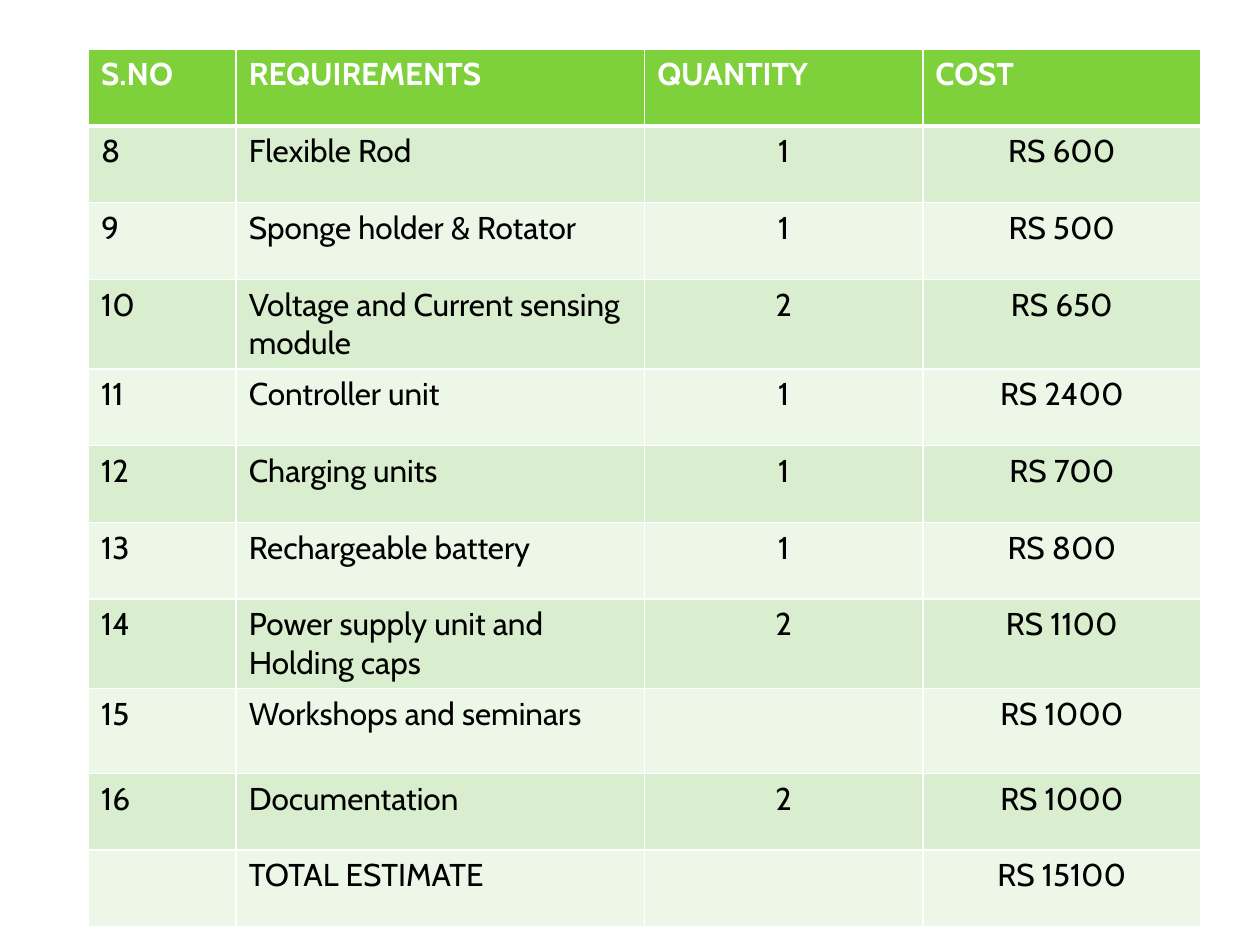
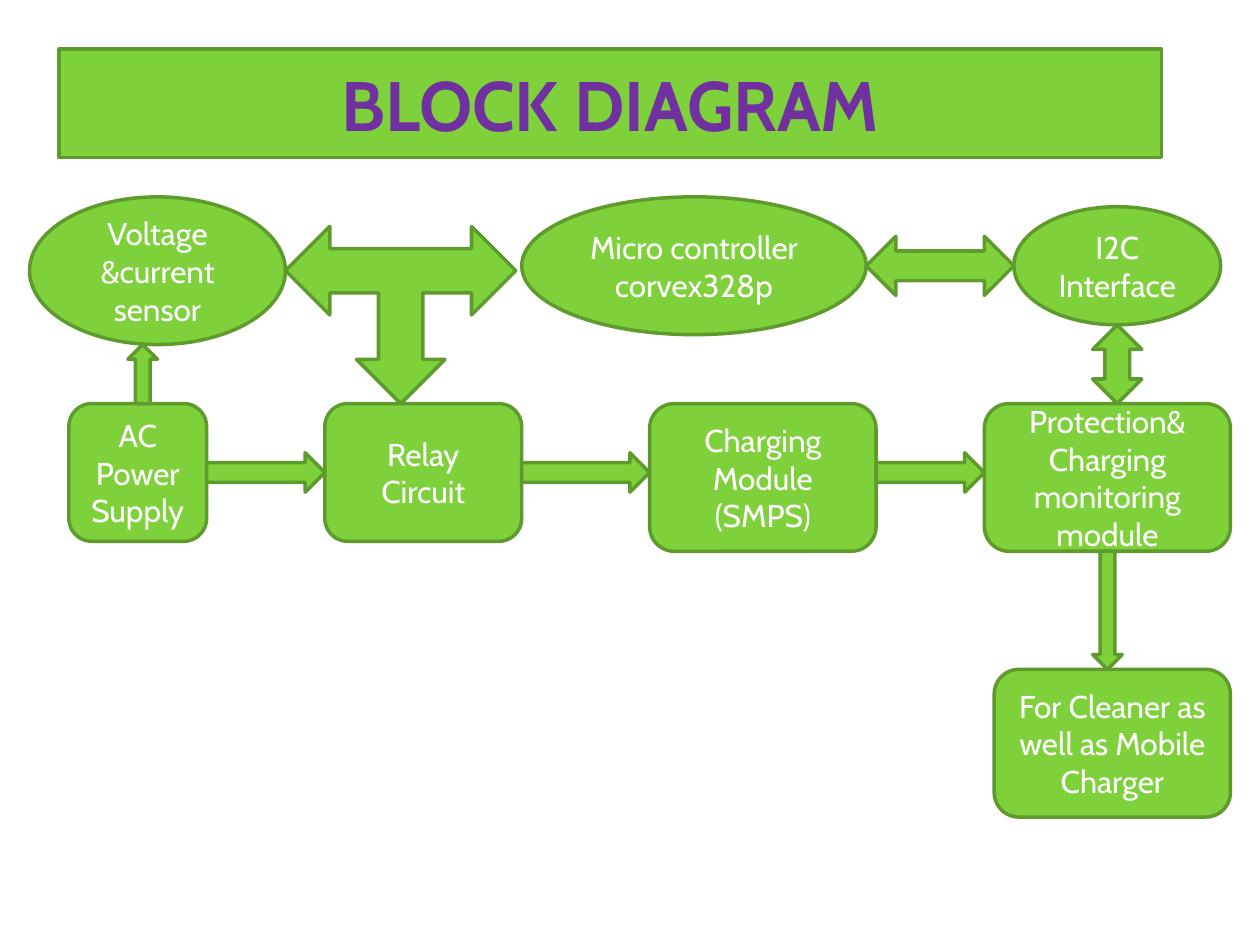
from dataclasses import dataclass

from lxml import etree
from pptx import Presentation
from pptx.dml.color import RGBColor
from pptx.enum.shapes import MSO_SHAPE
from pptx.enum.text import MSO_ANCHOR, MSO_AUTO_SIZE, PP_ALIGN
from pptx.oxml.ns import qn
from pptx.util import Inches, Pt

LEFT, CENTER = PP_ALIGN.LEFT, PP_ALIGN.CENTER
MIDDLE = MSO_ANCHOR.MIDDLE
FIXED = MSO_AUTO_SIZE.NONE
OVAL, BOX = MSO_SHAPE.OVAL, MSO_SHAPE.ROUNDED_RECTANGLE
RIGHT, UP, DOWN = MSO_SHAPE.RIGHT_ARROW, MSO_SHAPE.UP_ARROW, MSO_SHAPE.DOWN_ARROW
BOTH, THREE = MSO_SHAPE.LEFT_RIGHT_ARROW, MSO_SHAPE.LEFT_RIGHT_UP_ARROW
TITLED, BLANK = 5, 6
COLS = 128


@dataclass(frozen=True)
class Theme:
    font: str = "Cabin"
    green: str = "7FD13B"
    edge: str = "5E9B2C"
    bands: tuple = ("ECF7E8", "D8EECE")
    white: str = "FFFFFF"
    black: str = "000000"
    purple: str = "7030A0"
    body: int = 18
    head: int = 40
    line: int = 2
    rule: int = 1
    thick: int = 3


def rgb(code):
    return RGBColor.from_string(code)


def write(frame, text, *, font, size, color, bold=False, align=CENTER):
    for i, part in enumerate(text.split("\n")):
        para = frame.paragraphs[0] if i == 0 else frame.add_paragraph()
        para.alignment = align
        run = para.add_run()
        run.text = part
        run.font.name = font
        run.font.size = Pt(size)
        run.font.bold = bold
        run.font.color.rgb = rgb(color)


class Deck:
    def __init__(self, theme):
        self.theme = theme
        self.show = Presentation()
        self.show.slide_width = Inches(10)
        self.show.slide_height = Inches(7.5)
        self.unit = self.show.slide_width / COLS
        self.slide = None

    def span(self, *cells):
        return [round(cell * self.unit) for cell in cells]

    def start(self, layout):
        self.slide = self.show.slides.add_slide(self.show.slide_layouts[layout])

    def paint(self, shape):
        shape.fill.solid()
        shape.fill.fore_color.rgb = rgb(self.theme.green)
        shape.line.color.rgb = rgb(self.theme.edge)
        shape.line.width = Pt(self.theme.line)

    def label(self, shape, text, **style):
        frame = shape.text_frame
        frame.word_wrap = True
        frame.auto_size = FIXED
        frame.vertical_anchor = MIDDLE
        write(frame, text, font=self.theme.font, **style)

    def title(self, text, *place):
        shape = self.slide.shapes.title
        shape.left, shape.top, shape.width, shape.height = self.span(*place)
        self.paint(shape)
        self.label(shape, text, size=self.theme.head,
                   color=self.theme.purple, bold=True)

    def shape(self, kind, *place, text="", turn=0):
        shape = self.slide.shapes.add_shape(kind, *self.span(*place))
        shape.shadow.inherit = False
        shape.rotation = turn
        self.paint(shape)
        if text:
            self.label(shape, text, size=self.theme.body, color=self.theme.white)

    def border(self, cell, base):
        props = cell._tc.get_or_add_tcPr()
        rules = dict.fromkeys(("lnL", "lnR", "lnT"), self.theme.rule)
        rules["lnB"] = base
        for i, (side, width) in enumerate(rules.items()):
            line = etree.Element(qn("a:" + side), w=str(Pt(width)))
            fill = etree.SubElement(line, qn("a:solidFill"))
            etree.SubElement(fill, qn("a:srgbClr"), val=self.theme.white)
            props.insert(i, line)

    def table(self, data, left, top, cols, rows):
        theme = self.theme
        place = self.span(left, top, sum(cols), sum(rows))
        table = self.slide.shapes.add_table(len(rows), len(cols), *place).table
        table.horz_banding = False
        for col, width in zip(table.columns, self.span(*cols)):
            col.width = width
        for row, height in zip(table.rows, self.span(*rows)):
            row.height = height
        for r, line in enumerate(data):
            head = r == 0
            for c, text in enumerate(line):
                cell = table.cell(r, c)
                cell.fill.solid()
                shade = theme.green if head else theme.bands[r % 2]
                cell.fill.fore_color.rgb = rgb(shade)
                self.border(cell, theme.thick if head else theme.rule)
                if text:
                    write(cell.text_frame, text, font=theme.font, size=theme.body,
                          color=theme.white if head else theme.black, bold=head,
                          align=LEFT if head or c < 2 else CENTER)


COSTS = [
    ("S.NO", "REQUIREMENTS", "QUANTITY", "COST"),
    ("8", "Flexible Rod", "1", "RS 600"),
    ("9", "Sponge holder & Rotator", "1", "RS 500"),
    ("10", "Voltage and Current sensing module", "2", "RS 650"),
    ("11", "Controller unit", "1", "RS 2400"),
    ("12", "Charging units", "1", "RS 700"),
    ("13", "Rechargeable battery", "1", "RS 800"),
    ("14", "Power supply unit and Holding caps", "2", "RS 1100"),
    ("15", "Workshops and seminars", "", "RS 1000"),
    ("16", "Documentation", "2", "RS 1000"),
    ("", "TOTAL ESTIMATE", "", "RS 15100"),
]
TALL = (3, 7, 8)

NODES = [
    (BOX, 7, 41, 14, 14, "AC Power Supply"),
    (BOX, 33, 41, 20, 14, "Relay Circuit"),
    (BOX, 66, 41, 23, 15, "Charging Module (SMPS)"),
    (BOX, 100, 41, 25, 15, "Protection&\nCharging monitoring module"),
    (BOX, 101, 68, 24, 15, "For Cleaner as well as Mobile Charger"),
    (OVAL, 3, 20, 26, 15, "Voltage &current sensor"),
    (OVAL, 53, 20, 35, 14, "Micro controller\ncorvex328p"),
    (OVAL, 103, 21, 21, 12, "I2C Interface"),
]

ARROWS = [
    (RIGHT, 21, 46, 12, 4, 0),
    (RIGHT, 53, 46, 13, 4, 0),
    (RIGHT, 89, 46, 11, 4, 0),
    (UP, 13, 35, 3, 6, 0),
    (DOWN, 111, 56, 3, 12, 0),
    (THREE, 29, 23, 23.4, 18, 180),
    (BOTH, 88, 24, 15, 6, 0),
    (BOTH, 109.5, 34.5, 8, 5, 270),
]


def main():
    deck = Deck(Theme())

    deck.start(BLANK)
    rows = [8.6 if r in TALL else 7.8 for r in range(len(COSTS))]
    deck.table(COSTS, 9, 5, (15, 41.5, 28.25, 28.25), rows)

    deck.start(TITLED)
    deck.title("BLOCK DIAGRAM", 6, 5, 112, 11)
    for kind, *place, text in NODES:
        deck.shape(kind, *place, text=text)
    for kind, *place, turn in ARROWS:
        deck.shape(kind, *place, turn=turn)

    deck.show.save("out.pptx")


main()
